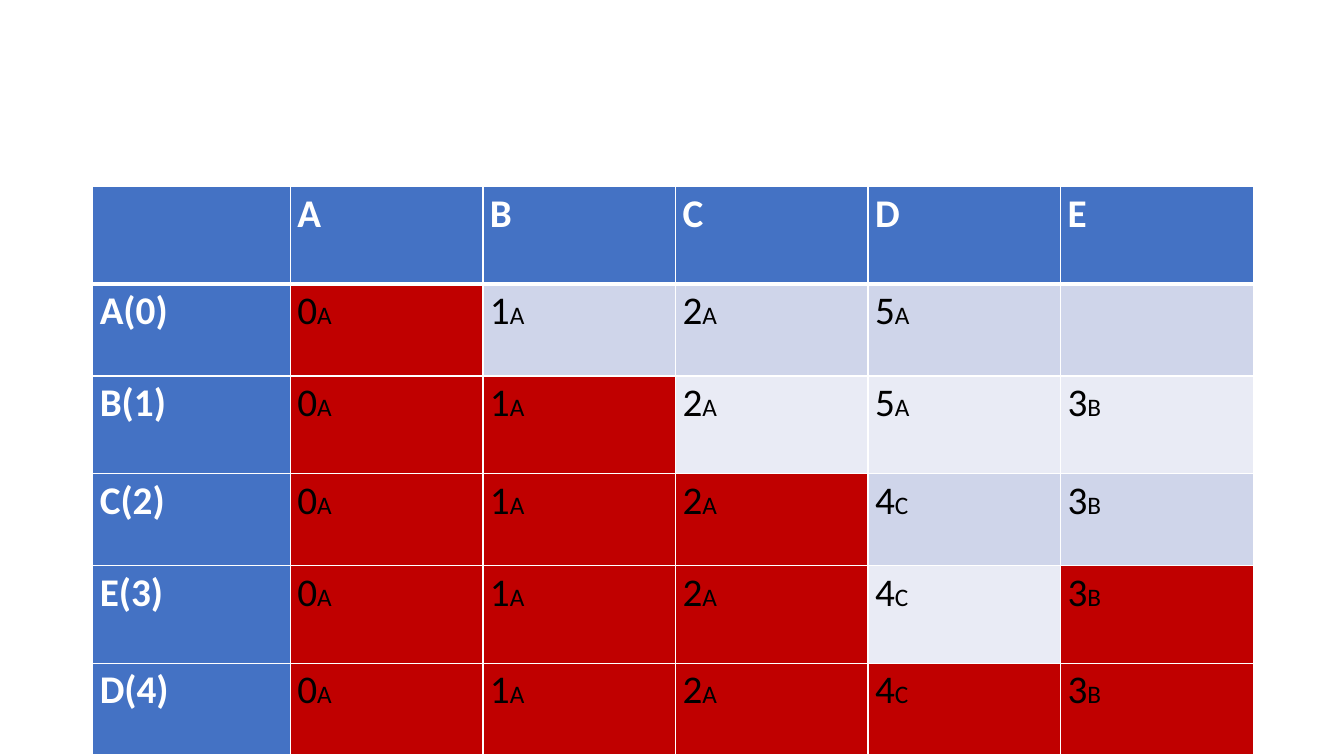
from lxml import etree
from pptx import Presentation
from pptx.dml.color import RGBColor
from pptx.oxml.ns import qn
from pptx.util import Inches, Pt

WHITE = RGBColor(0xFF, 0xFF, 0xFF)
BLACK = RGBColor(0x00, 0x00, 0x00)
BLUE = RGBColor(0x44, 0x72, 0xC4)
RED = RGBColor(0xC0, 0x00, 0x00)
BANDS = (RGBColor(0xCF, 0xD5, 0xEA), RGBColor(0xE9, 0xEB, 0xF5))

FONT = "Calibri"
NODES = "ABCDE"
COL_WIDTHS = [1.96] + [1.91] * len(NODES)
ROW_HEIGHTS = [0.97, 0.91] * 3

# Each step: node settled, its distance, then distance + predecessor per node
STEPS = [
    ("A", 0, ["0A", "1A", "2A", "5A", ""]),
    ("B", 1, ["0A", "1A", "2A", "5A", "3B"]),
    ("C", 2, ["0A", "1A", "2A", "4C", "3B"]),
    ("E", 3, ["0A", "1A", "2A", "4C", "3B"]),
    ("D", 4, ["0A", "1A", "2A", "4C", "3B"]),
]


def add_run(p, text, size, color, bold=False):
    r = p.add_run()
    r.text = text
    r.font.name = FONT
    r.font.size = Pt(size)
    r.font.bold = bold
    r.font.color.rgb = color


def set_borders(cell, top=1, bottom=1):
    tc_pr = cell._tc.get_or_add_tcPr()
    for side, width in (("L", 1), ("R", 1), ("T", top), ("B", bottom)):
        ln = etree.SubElement(tc_pr, qn(f"a:ln{side}"), w=str(Pt(width)))
        fill = etree.SubElement(ln, qn("a:solidFill"))
        etree.SubElement(fill, qn("a:srgbClr"), val=str(WHITE))


def style_cell(cell, fill, **borders):
    set_borders(cell, **borders)
    cell.fill.solid()
    cell.fill.fore_color.rgb = fill
    cell.margin_left = cell.margin_right = Inches(0.07)
    cell.margin_top = cell.margin_bottom = 0
    p = cell.text_frame.paragraphs[0]
    p.line_spacing = 1.07
    return p


def heading_cell(cell, text, **borders):
    p = style_cell(cell, BLUE, **borders)
    if text:
        add_run(p, text, 28, WHITE, bold=True)


def distance_cell(cell, label, fill, **borders):
    p = style_cell(cell, fill, **borders)
    if label:
        add_run(p, label[0], 28, BLACK)
        add_run(p, label[1], 18, BLACK)


def add_distance_table(slide):
    frame = slide.shapes.add_table(
        len(ROW_HEIGHTS), len(COL_WIDTHS), Inches(0.92), Inches(1.85),
        Inches(sum(COL_WIDTHS)), Inches(sum(ROW_HEIGHTS)))
    table = frame.table
    for column, width in zip(table.columns, COL_WIDTHS):
        column.width = Inches(width)
    for row, height in zip(table.rows, ROW_HEIGHTS):
        row.height = Inches(height)

    # Header row
    for col, text in enumerate(["", *NODES]):
        heading_cell(table.cell(0, col), text, bottom=3)

    # One row per step; settled nodes turn red
    settled = set()
    for row, (node, distance, labels) in enumerate(STEPS, 1):
        settled.add(node)
        top = 3 if row == 1 else 1
        band = BANDS[(row - 1) % 2]
        heading_cell(table.cell(row, 0), f"{node}({distance})", top=top)
        for col, (target, label) in enumerate(zip(NODES, labels), 1):
            fill = RED if target in settled else band
            distance_cell(table.cell(row, col), label, fill, top=top)


def main():
    prs = Presentation()
    prs.slide_width = Inches(13.33)
    prs.slide_height = Inches(7.5)
    slide = prs.slides.add_slide(prs.slide_layouts[6])
    add_distance_table(slide)
    prs.save("out.pptx")


if __name__ == "__main__":
    main()
